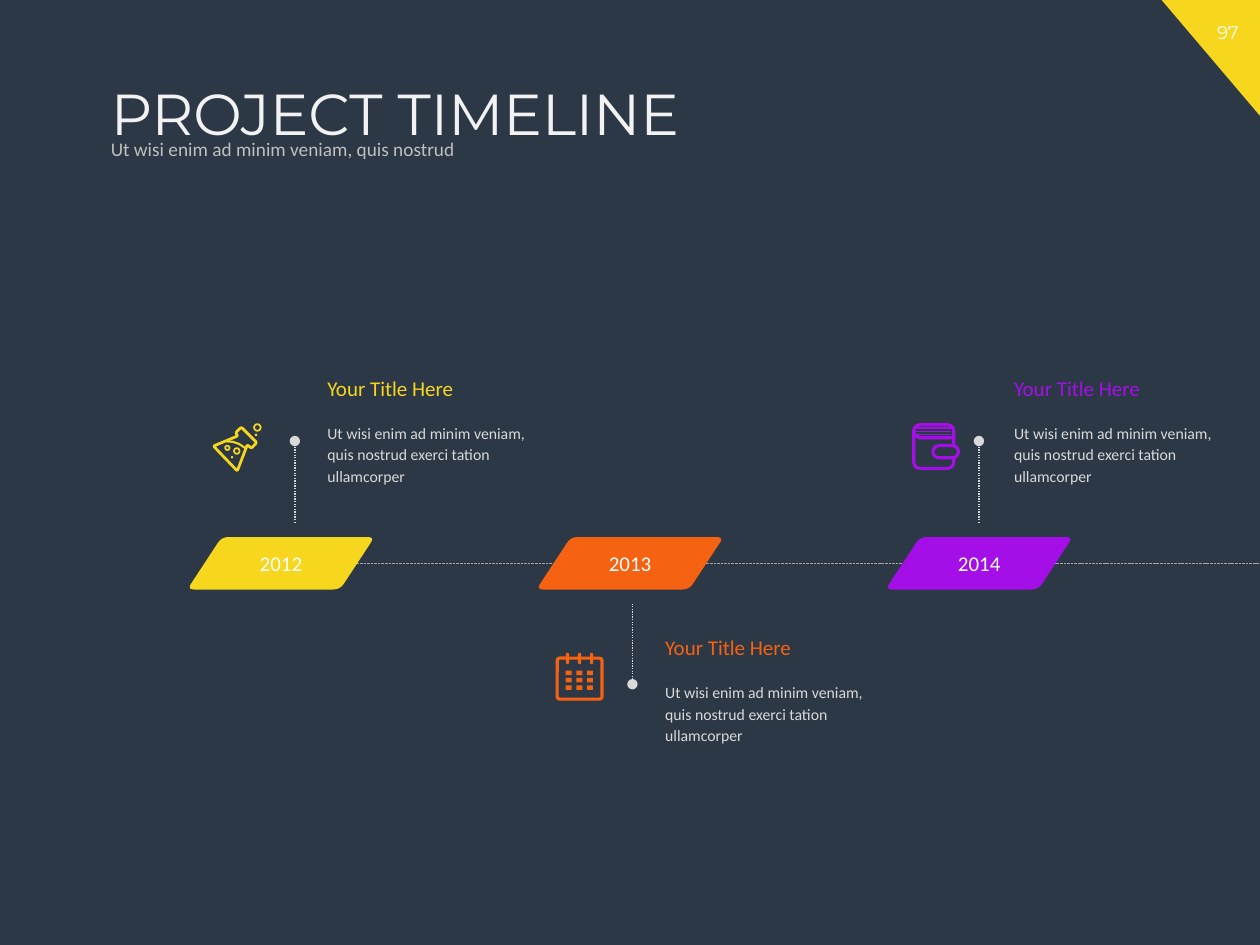
from dataclasses import dataclass

from lxml.etree import SubElement
from pptx import Presentation
from pptx.dml.color import RGBColor
from pptx.enum.dml import MSO_LINE
from pptx.enum.shapes import MSO_CONNECTOR, MSO_SHAPE
from pptx.enum.text import MSO_ANCHOR, PP_ALIGN
from pptx.oxml.ns import qn
from pptx.util import Pt


@dataclass(frozen=True)
class Theme:
    background: str = "2D3847"
    yellow: str = "F6D71E"
    orange: str = "F56211"
    purple: str = "A40FE7"
    white: str = "FFFFFF"
    heading: str = "F2F2F2"
    subtitle: str = "BFBFBF"
    body: str = "D9D9D9"
    axis: str = "A6A6A6"
    heading_font: str = "Montserrat"
    body_font: str = "Calibri"
    heading_size: float = 33
    label_size: float = 12
    subtitle_size: float = 11
    number_size: float = 10.5
    body_size: float = 9


def round_corners(points, cut, steps=6):
    """Replace each corner of a closed polygon by a short curve."""
    def toward(a, b):
        dx, dy = b[0] - a[0], b[1] - a[1]
        k = cut / (dx * dx + dy * dy) ** 0.5
        return a[0] + dx * k, a[1] + dy * k

    result = []
    for i, corner in enumerate(points):
        start = toward(corner, points[i - 1])
        end = toward(corner, points[(i + 1) % len(points)])
        for t in (n / steps for n in range(steps + 1)):
            result.append(tuple((1 - t) ** 2 * a + 2 * t * (1 - t) * c + t * t * b
                                for a, c, b in zip(start, corner, end)))
    return result


class Deck:
    def __init__(self, theme, slide):
        self.theme, self.slide = theme, slide
        self.shapes = slide.shapes
        self.origin = (0, 0)
        slide.background.fill.solid()
        slide.background.fill.fore_color.rgb = RGBColor.from_string(theme.background)

    def begin_icon(self, x, y):
        """Send the next shapes to a new group, measured from x, y."""
        self.shapes = self.slide.shapes.add_group_shape().shapes
        self.origin = (x, y)

    def end_icon(self):
        self.shapes, self.origin = self.slide.shapes, (0, 0)

    def place(self, x, y):
        return Pt(self.origin[0] + x), Pt(self.origin[1] + y)

    def paint(self, sp, fill=None, line=None, width=1.8):
        sp.shadow.inherit = False
        if fill:
            sp.fill.solid()
            sp.fill.fore_color.rgb = RGBColor.from_string(fill)
        else:
            sp.fill.background()
        if line:
            sp.line.color.rgb = RGBColor.from_string(line)
            sp.line.width = Pt(width)
        else:
            sp.line.fill.background()
        return sp

    def shape(self, kind, x, y, w, h, radius=None, **paint):
        sp = self.shapes.add_shape(kind, *self.place(x, y), Pt(w), Pt(h))
        if radius is not None:
            sp.adjustments[0] = radius
        return self.paint(sp, **paint)

    def outline(self, points, close=True, **paint):
        first, *rest = [self.place(*point) for point in points]
        builder = self.shapes.build_freeform(*first)
        builder.add_line_segments(rest, close=close)
        return self.paint(builder.convert_to_shape(), **paint)

    def line(self, x1, y1, x2, y2, color, width, dash=None, dot_end=False):
        c = self.shapes.add_connector(
            MSO_CONNECTOR.STRAIGHT, *self.place(x1, y1), *self.place(x2, y2))
        c.line.color.rgb = RGBColor.from_string(color)
        c.line.width = Pt(width)
        if dash:
            c.line.dash_style = dash
        props = c.element.spPr
        if dot_end:
            SubElement(props.find(qn("a:ln")), qn("a:tailEnd"), type="oval")
        SubElement(props, qn("a:effectLst"))

    def set_text(self, tf, text, size, color, font=None, align=PP_ALIGN.LEFT, spacing=None):
        p = tf.paragraphs[0]
        p.text = text
        p.alignment = align
        p.line_spacing = spacing
        p.font.name = font or self.theme.body_font
        p.font.size = Pt(size)
        p.font.color.rgb = RGBColor.from_string(color)

    def text(self, x, y, w, h, text, size, color, wrap=True, anchor=MSO_ANCHOR.TOP, **style):
        tf = self.shapes.add_textbox(*self.place(x, y), Pt(w), Pt(h)).text_frame
        tf.word_wrap = wrap
        tf.vertical_anchor = anchor
        self.set_text(tf, text, size, color, **style)

    def year(self, center, text, color):
        corners = [(-53.5, 30), (-33.8, 0), (53.5, 0), (33.8, 30)]
        sp = self.outline(round_corners([(center + x, 306.9 + y) for x, y in corners], 4),
                          fill=color)
        tf = sp.text_frame
        tf.word_wrap = False
        tf.vertical_anchor = MSO_ANCHOR.MIDDLE
        self.set_text(tf, text, self.theme.label_size, self.theme.white, align=PP_ALIGN.CENTER)

    def event(self, x, y, text, color):
        t = self.theme
        self.text(x, y, 93.6, 21.6, "Your Title Here", t.label_size, color, wrap=False)
        self.text(x, y + 25.9, 137.5, 44.6, text, t.body_size, t.body, spacing=1.14)

    def flask(self, x, y, color):
        self.begin_icon(x, y)
        glass = [(0.3, 13), (13.9, 27.2), (19.6, 12.3), (22, 14.2),
                 (25, 11), (16.2, 2.2), (13, 5.4), (14.2, 7.2)]
        self.outline(round_corners(glass, 1), line=color, width=1.6)
        self.outline([(7.5, 10.3), (11.5, 10.6), (15, 11.8), (18.9, 14.4)],
                     close=False, line=color, width=1.2)
        for left, top, size in [(12, 14.2, 3.2), (23.5, 0.5, 3.8), (7, 12.8, 2.5)]:
            self.shape(MSO_SHAPE.OVAL, left, top, size, size, line=color, width=1)
        for left, top in [(10.2, 18.7), (23.9, 5.9)]:
            self.shape(MSO_SHAPE.OVAL, left, top, 1.4, 1.4, fill=color)
        self.end_icon()

    def calendar(self, x, y, color):
        self.begin_icon(x, y)
        self.shape(MSO_SHAPE.ROUNDED_RECTANGLE, 0.9, 3.1, 25.6, 23.4, 0.06, line=color)
        for column in range(3):
            pin = 6.8 + 6.9 * column
            self.shape(MSO_SHAPE.ROUNDED_RECTANGLE, pin - 0.9, 0, 1.8, 6.5, 0.5, fill=color)
            for row in range(3):
                self.shape(MSO_SHAPE.RECTANGLE, 5.8 + 6.1 * column, 10.2 + 4.2 * row,
                           3.4, 2.6, fill=color)
        self.end_icon()

    def wallet(self, x, y, color):
        self.begin_icon(x, y)
        self.shape(MSO_SHAPE.ROUNDED_RECTANGLE, 0.9, 0.9, 22.8, 24.9, 0.15, line=color)
        self.outline([(0.9, 4.5), (1.6, 6.8), (4, 8.3), (23.7, 8.3)],
                     close=False, line=color)
        for stripe in (2.6, 4.6, 6.3):
            self.line(2.4, stripe, 22.2, stripe, color, 0.8)
        self.shape(MSO_SHAPE.ROUNDED_RECTANGLE, 11.8, 12.7, 14.6, 7, 0.5,
                   fill=self.theme.background, line=color)
        self.end_icon()


def main():
    prs = Presentation()
    prs.slide_width, prs.slide_height = Pt(720), Pt(540)
    t = Theme()
    s = Deck(t, prs.slides.add_slide(prs.slide_layouts[6]))

    corner = s.shape(MSO_SHAPE.RIGHT_TRIANGLE, 663.8, 0, 56.2, 66.2, fill=t.yellow)
    corner.rotation = 180
    s.text(683.3, 8.6, 36.7, 20.2, "97", t.number_size, t.white,
           font=t.heading_font, align=PP_ALIGN.CENTER)
    s.text(56.2, 45.4, 638, 52.6, "PROJECT TIMELINE", t.heading_size, t.heading,
           font=t.heading_font, spacing=0.9)
    s.text(56.2, 76.3, 519, 18.7, "Ut wisi enim ad minim veniam, quis nostrud",
           t.subtitle_size, t.subtitle, anchor=MSO_ANCHOR.MIDDLE, spacing=0.9)

    s.line(201.6, 321.8, 720, 321.8, t.axis, 0.5, MSO_LINE.SQUARE_DOT)
    body = "Ut wisi enim ad minim veniam, quis nostrud exerci tation ullamcorper"
    above, below = (298.8, 252, 211), (344.9, 391, 359.3)
    milestones = [
        ("2012", t.yellow, 168.5, 180, above, s.flask, (121.7, 241.9)),
        ("2013", t.orange, 361.4, 373, below, s.calendar, (317.5, 373)),
        ("2014", t.purple, 559.4, 572.4, above, s.wallet, (521.3, 241.9)),
    ]
    for i, (year, color, stem, text_x, side, icon, icon_at) in enumerate(milestones):
        stem_start, stem_end, text_y = side
        s.year(160.5 + 199.5 * i, year, color)
        s.line(stem, stem_start, stem, stem_end, t.body, 0.75, MSO_LINE.ROUND_DOT, dot_end=True)
        s.event(text_x, text_y, body, color)
        icon(*icon_at, color)

    prs.save("out.pptx")


if __name__ == "__main__":
    main()
